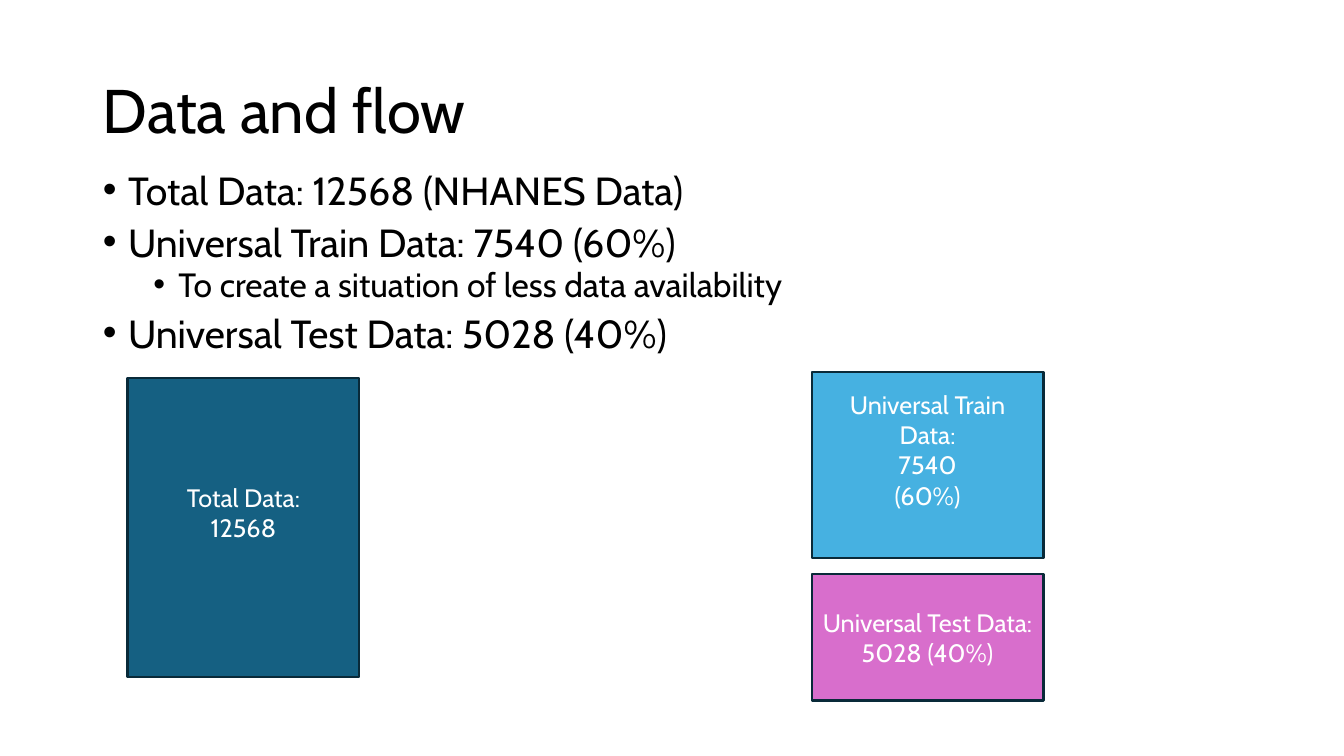
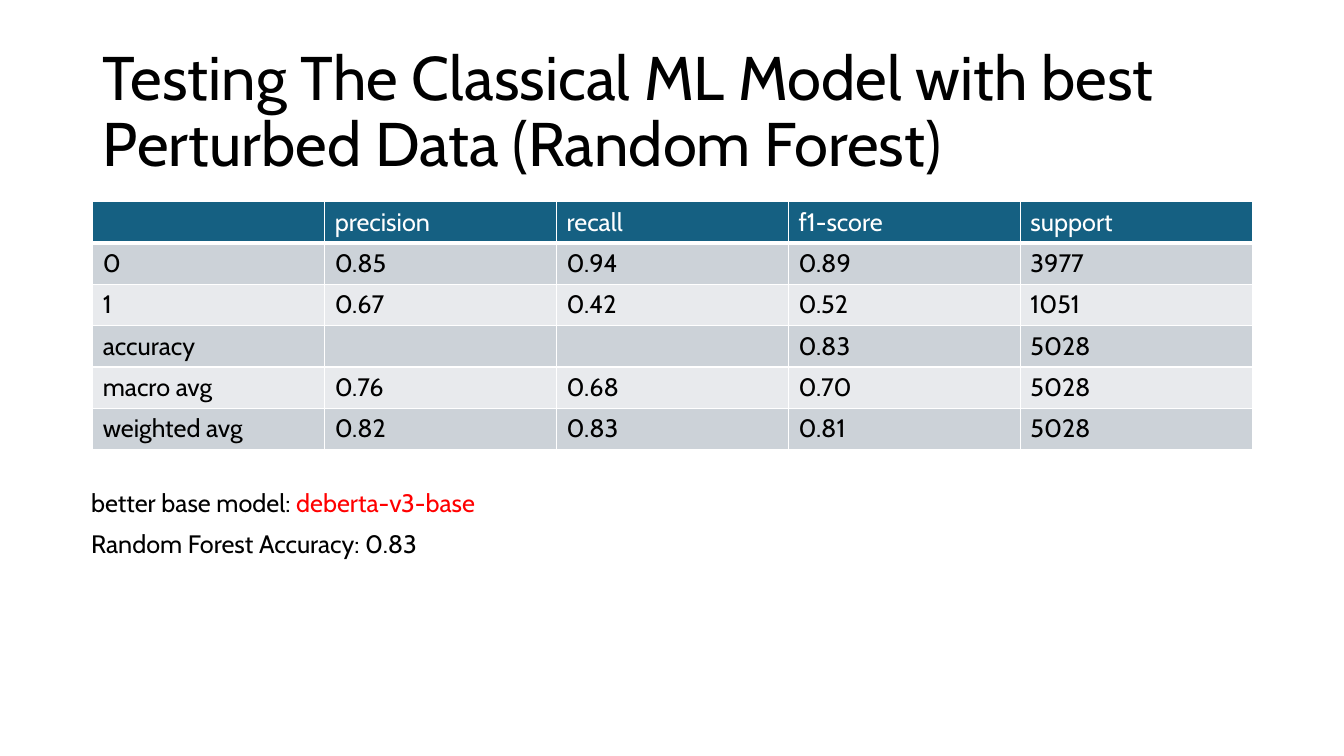
from dataclasses import dataclass

from lxml.etree import SubElement
from pptx import Presentation
from pptx.dml.color import RGBColor
from pptx.enum.shapes import MSO_SHAPE
from pptx.enum.text import MSO_ANCHOR, MSO_AUTO_SIZE, PP_ALIGN
from pptx.oxml.ns import qn
from pptx.util import Inches, Pt


@dataclass(frozen=True)
class Theme:
    font: str = "Cabin"
    text: str = "000000"
    light: str = "FFFFFF"
    accent: str = "156082"
    outline: str = "092A39"
    train: str = "46B1E1"
    test: str = "D86ECC"
    highlight: str = "FF0000"
    bands: tuple = ("CCD2D8", "E8EAED")
    title_size: int = 44
    list_sizes: tuple = (28, 24)
    small_size: int = 18


theme = Theme()

# Grid: five columns between the side margins, rows as high as a table row
MARGIN, COLUMN, ROW = 0.92, 2.3, 0.41


def grid(column, row, columns, rows):
    """Left, top, width and height of a grid area."""
    return (Inches(MARGIN + column * COLUMN), Inches(row * ROW),
            Inches(columns * COLUMN), Inches(rows * ROW))


def write(paragraph, text, size=theme.small_size, color=theme.text):
    run = paragraph.add_run()
    run.text = text
    formats = {"name": theme.font, "size": Pt(size), "bold": False}
    for name, value in formats.items():
        setattr(run.font, name, value)
    run.font.color.rgb = RGBColor.from_string(color)


presentation = Presentation()
presentation.slide_width = Inches(13.33)
presentation.slide_height = Inches(7.5)

# Slides and their titles
slides = []
for layout, title in (
    (1, "Data and flow"),
    (5, "Testing The Classical ML Model with best Perturbed Data (Random Forest)"),
):
    slide = presentation.slides.add_slide(presentation.slide_layouts[layout])
    shape = slide.shapes.title
    shape.left, shape.top, shape.width, shape.height = grid(0, 0.98, 5, 3.54)
    shape.text_frame.auto_size = MSO_AUTO_SIZE.NONE
    shape.text_frame.vertical_anchor = MSO_ANCHOR.MIDDLE
    paragraph = shape.text_frame.paragraphs[0]
    paragraph.alignment = PP_ALIGN.LEFT
    paragraph.line_spacing = 0.9
    write(paragraph, title, theme.title_size)
    slides.append(slide)
flow_slide, results_slide = slides

# Data and flow: list
body = flow_slide.placeholders[1]
body.left, body.top, body.width, body.height = grid(0, 4.12, 5, 5.02)
body.text_frame.auto_size = MSO_AUTO_SIZE.NONE
for index, (level, text) in enumerate((
    (0, "Total Data: 12568 (NHANES Data)"),
    (0, "Universal Train Data: 7540 (60%)"),
    (1, "To create a situation of less data availability"),
    (0, "Universal Test Data: 5028 (40%)"),
)):
    frame = body.text_frame
    paragraph = frame.add_paragraph() if index else frame.paragraphs[0]
    formats = {"level": level, "line_spacing": 0.8,
               "space_before": Pt(5 if level else 10)}
    for name, value in formats.items():
        setattr(paragraph, name, value)
    properties = paragraph._p.get_or_add_pPr()
    properties.set("marL", str(Inches(0.25 + 0.5 * level)))
    properties.set("indent", str(Inches(-0.25)))
    SubElement(properties, qn("a:buChar"), char="•")
    write(paragraph, text, theme.list_sizes[level])

# Data and flow: boxes for the whole set and its two parts
for area, color, bottom, lines in (
    ((0.15, 9.15, 1, 7.24), theme.accent, 0.35, ("Total Data:", "12568")),
    ((3.1, 9, 1, 4.5), theme.train, 0.35,
     ("Universal Train Data:", "7540", "(60%)")),
    ((3.1, 13.88, 1, 3.07), theme.test, 0.05,
     ("Universal Test Data:", "5028 (40%)")),
):
    box = flow_slide.shapes.add_shape(MSO_SHAPE.RECTANGLE, *grid(*area))
    box.shadow.inherit = False
    box.fill.solid()
    box.fill.fore_color.rgb = RGBColor.from_string(color)
    box.line.color.rgb = RGBColor.from_string(theme.outline)
    box.line.width = Pt(1.5)
    frame = box.text_frame
    formats = {"word_wrap": True, "vertical_anchor": MSO_ANCHOR.MIDDLE,
               "margin_bottom": Inches(bottom)}
    for name, value in formats.items():
        setattr(frame, name, value)
    for index, text in enumerate(lines):
        paragraph = frame.add_paragraph() if index else frame.paragraphs[0]
        paragraph.alignment = PP_ALIGN.CENTER
        write(paragraph, text, color=theme.light)

# Test results: table of scores
scores = (
    ("", "precision", "recall", "f1-score", "support"),
    ("0", "0.85", "0.94", "0.89", "3977"),
    ("1", "0.67", "0.42", "0.52", "1051"),
    ("accuracy", "", "", "0.83", "5028"),
    ("macro avg", "0.76", "0.68", "0.70", "5028"),
    ("weighted avg", "0.82", "0.83", "0.81", "5028"),
)
table = results_slide.shapes.add_table(
    len(scores), len(scores[0]), *grid(0, 4.88, 5, len(scores))).table
for row, values in enumerate(scores):
    for column, value in enumerate(values):
        cell = table.cell(row, column)
        # Borders come before the fill in the cell's properties
        for side in ("lnL", "lnR", "lnT", "lnB"):
            thick = (row, side) in ((0, "lnB"), (1, "lnT"))
            border = SubElement(cell._tc.get_or_add_tcPr(), qn(f"a:{side}"),
                                w=str(Pt(3 if thick else 1)))
            fill = SubElement(border, qn("a:solidFill"))
            SubElement(fill, qn("a:srgbClr"), val=theme.light)
        cell.fill.solid()
        cell.fill.fore_color.rgb = RGBColor.from_string(
            theme.bands[(row - 1) % 2] if row else theme.accent)
        if value:
            write(cell.text_frame.paragraphs[0], value,
                  color=theme.text if row else theme.light)

# Test results: notes below the table
for index, runs in enumerate((
    (("better base model: ", theme.text), ("deberta-v3-base", theme.highlight)),
    (("Random Forest Accuracy: 0.83", theme.text),),
)):
    note = results_slide.shapes.add_textbox(*grid(-0.05, 11.66 + index, 2, 1))
    note.text_frame.word_wrap = True
    for text, color in runs:
        write(note.text_frame.paragraphs[0], text, color=color)

presentation.save("out.pptx")
